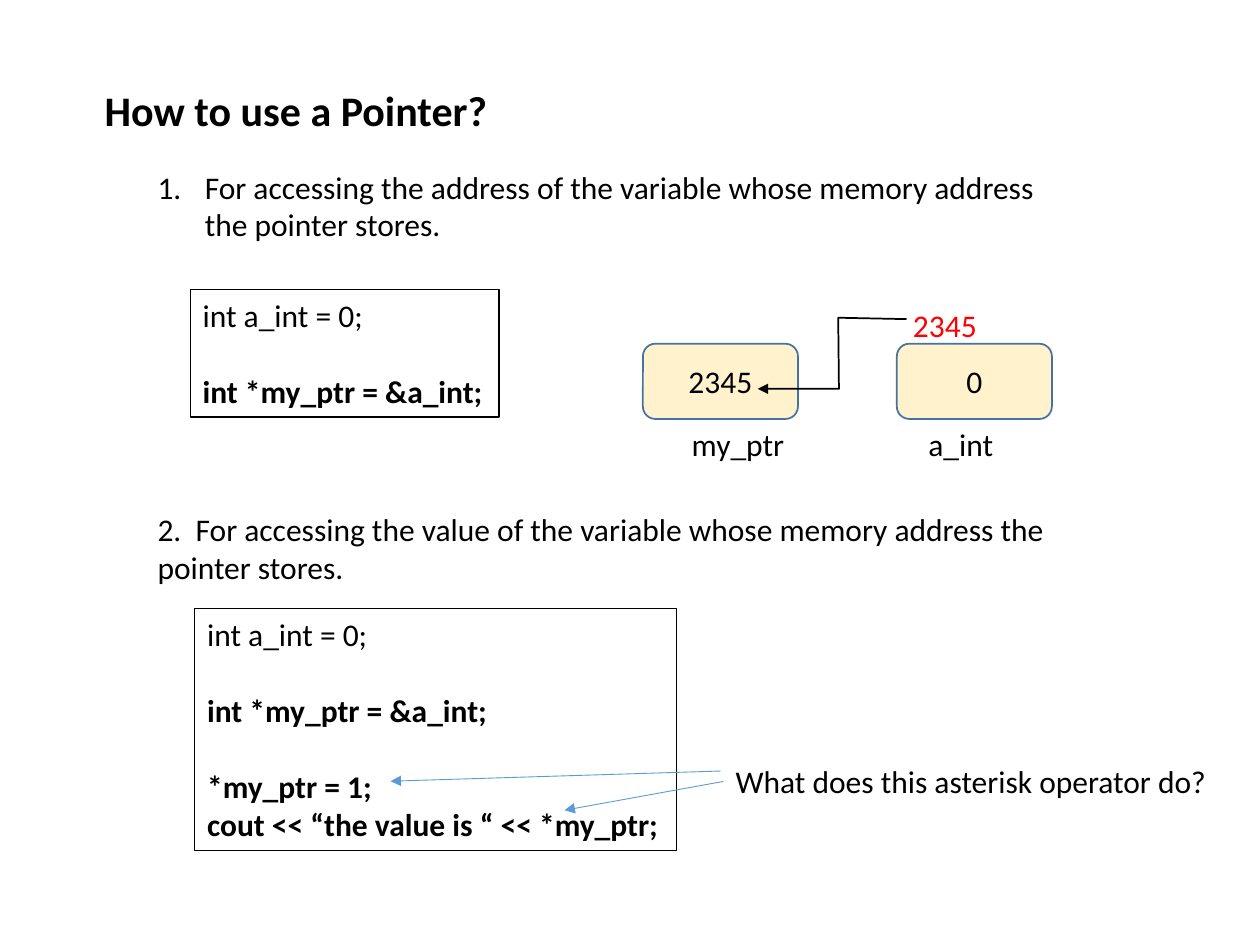
from pptx import Presentation
from pptx.dml.color import RGBColor
from pptx.enum.shapes import MSO_CONNECTOR as Conn, MSO_SHAPE as Shape
from pptx.enum.text import MSO_ANCHOR as Anchor, MSO_AUTO_SIZE as Fit, PP_ALIGN as Align
from pptx.oxml.ns import qn
from pptx.util import Pt
from lxml.etree import SubElement

FONT, BLACK, RED = "Calibri", "000000", "FF0000"
CREAM, NAVY, BLUE = "FFF2CC", "43739E", "5B9BD5"
TITLE = ("How to use a Pointer?", (52.6, 44.6, 235.4, 36))
POINTS = [
    ("For accessing the address of the variable whose memory address the pointer stores.", 92.2, 27),
    ("2.  For accessing the value of the variable whose memory address the pointer stores.", 288, 0),
]
SHORT = [("int a_int = 0;", False, 0), ("int *my_ptr = &a_int;", True, 22)]
LONG = SHORT + [("*my_ptr = 1;", True, 22),
                ("cout << “the value is “ << *my_ptr;", True, 0)]
CODES = [(SHORT, (108.7, 165.6, 176.4, 72.7)), (LONG, (111.3, 347.8, 275.2, 138.2))]
CELLS = [("2345", 367.4), ("0", 512.5)]
LABELS = [
    ("a_int", RED and BLACK, (523.4, 239.2, 51.8, 29.1)),
    ("2345", RED, (514.6, 171.2, 51.1, 29.1)),
    ("my_ptr", BLACK, (388.2, 239.2, 67.7, 29.1)),
]
ASK = ("What does this asterisk operator do?", BLACK, (413.3, 432, 286.6, 29.1))
ELBOW = [(518, 182.4), (479, 181.6), (479.4, 222.2), (433, 222.2)]
STAR, VALUE = ((411.8, 440.6), (223.2, 446.4)), ((413.3, 446.5), (322.6, 463))


def pts(vals):
    return [Pt(v) for v in vals]


def color(code):
    return RGBColor.from_string(code)


def write(para, text, shade=BLACK, size=18, bold=False):
    run = para.add_run()
    run.text = text
    font = run.font
    font.name, font.size, font.bold = FONT, Pt(size), bold
    font.color.rgb = color(shade)


def stroke(shape, shade, width):
    shape.line.color.rgb = color(shade)
    shape.line.width = Pt(width)


def tip(shape):
    SubElement(shape.line._get_or_add_ln(), qn("a:tailEnd"), type="triangle")


def place(shape, box):
    shape.left, shape.top, shape.width, shape.height = pts(box)
    frame = shape.text_frame
    frame.auto_size, frame.vertical_anchor = Fit.NONE, Anchor.TOP
    para = frame.paragraphs[0]
    para.alignment, para.space_before = Align.LEFT, Pt(0)
    return frame, para


def label(slide, text, shade, box):
    shape = slide.shapes.add_textbox(*pts(box))
    frame, para = place(shape, box)
    frame.word_wrap = False
    write(para, text, shade)
    return shape


def point(shape, text, top, indent):
    para = place(shape, (82.8, top, 523.4, 51))[1]
    props = para._p.get_or_add_pPr()
    props.set("marL", str(Pt(indent)))
    props.set("indent", str(-Pt(indent)))
    if indent:
        SubElement(props, qn("a:buFont"), typeface="+mj-lt")
        SubElement(props, qn("a:buAutoNum"), type="arabicPeriod")
    else:
        SubElement(props, qn("a:buNone"))
    write(para, text)


def code(slide, lines, box):
    shape = slide.shapes.add_shape(Shape.RECTANGLE, *pts(box))
    shape.shadow.inherit = False
    shape.fill.background()
    stroke(shape, BLACK, 0.75)
    frame, para = place(shape, box)
    frame.word_wrap = False
    for i, (text, bold, gap) in enumerate(lines):
        para = frame.add_paragraph() if i else para
        para.alignment, para.space_before = Align.LEFT, Pt(gap)
        write(para, text, bold=bold)


def cell(slide, text, left):
    box = (left, 196.4, 88.6, 43)
    shape = slide.shapes.add_shape(Shape.ROUNDED_RECTANGLE, *pts(box))
    shape.shadow.inherit = False
    shape.fill.solid()
    shape.fill.fore_color.rgb = color(CREAM)
    stroke(shape, NAVY, 1)
    frame, para = place(shape, box)
    frame.vertical_anchor, para.alignment = Anchor.MIDDLE, Align.CENTER
    write(para, text)


def elbow(slide):
    path = [tuple(pts(p)) for p in ELBOW]
    pen = slide.shapes.build_freeform(*path[0])
    pen.add_line_segments(path[1:], close=False)
    shape = pen.convert_to_shape()
    shape.shadow.inherit = False
    shape.fill.background()
    stroke(shape, BLACK, 1)
    tip(shape)


def arrow(slide, start, end):
    line = slide.shapes.add_connector(Conn.STRAIGHT, *pts(start + end))
    stroke(line, BLUE, 0.5)
    tip(line)
    SubElement(line._element.spPr, qn("a:effectLst"))
    return line


def main():
    """Build the slide on using a pointer."""
    deck = Presentation()
    deck.slide_width, deck.slide_height = Pt(720), Pt(540)
    slide = deck.slides.add_slide(deck.slide_layouts[3])
    title, *bodies = list(slide.placeholders)[:3]
    frame, para = place(title, TITLE[1])
    frame.word_wrap = False
    write(para, TITLE[0], size=24, bold=True)
    for body, item in zip(bodies, POINTS):
        point(body, *item)
    for item in CODES:
        code(slide, *item)
    for item in CELLS:
        cell(slide, *item)
    for item in LABELS:
        label(slide, *item)
    elbow(slide)
    ask = label(slide, *ASK)
    arrow(slide, *VALUE).begin_connect(ask, 1)
    arrow(slide, *STAR)
    deck.save("out.pptx")


if __name__ == "__main__":
    main()
